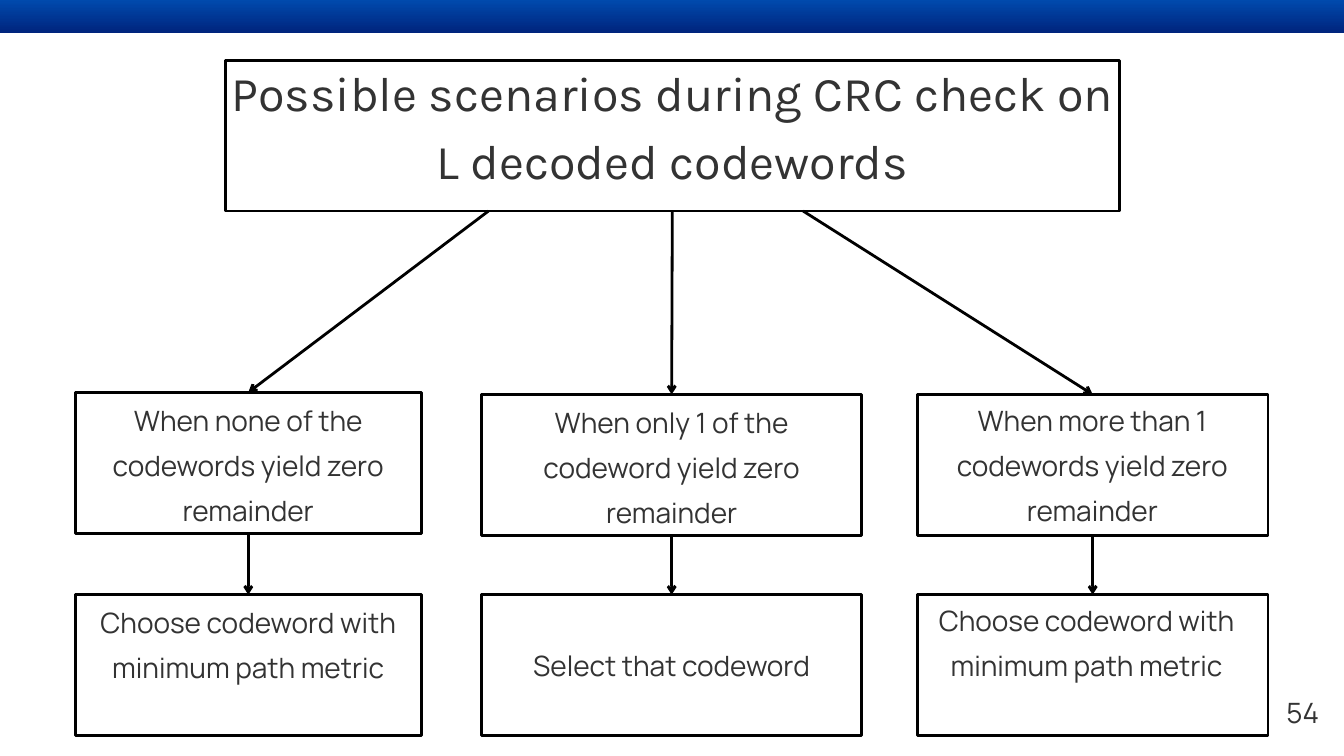
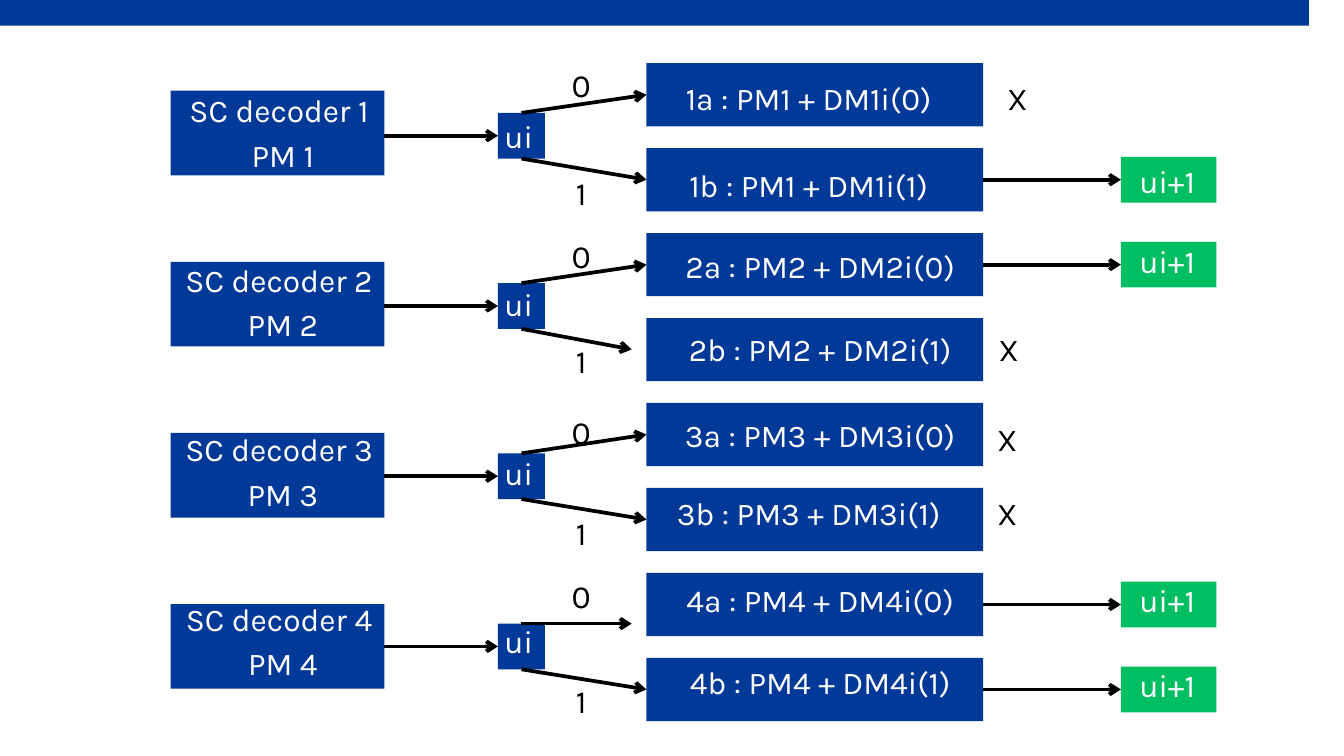
from dataclasses import dataclass
from typing import NamedTuple, Optional

from lxml import etree
from pptx import Presentation
from pptx import util as u
from pptx.dml.color import RGBColor
from pptx.enum import shapes, text
from pptx.oxml import ns

# The page is a grid of square cells: 20 columns by 11.25 rows.
CELL = u.Inches(1)
COLUMNS, ROWS = 20, 11.25

BLACK = RGBColor(0x00, 0x00, 0x00)
WHITE = RGBColor(0xFF, 0xFF, 0xFF)
INK = RGBColor(0x33, 0x33, 0x33)
BLUE = RGBColor(0x00, 0x39, 0x97)
GREEN = RGBColor(0x00, 0xBF, 0x63)
BAND_TOP = RGBColor(0x00, 0x4A, 0xAD)
BAND_BOTTOM = RGBColor(0x00, 0x24, 0x7D)

HEADING_FONT, BODY_FONT = "Karla", "Manrope"
TOP, LEFT, BOTTOM, RIGHT = range(4)


class Area(NamedTuple):
    left: float
    top: float
    width: float
    height: float


class Point(NamedTuple):
    column: float
    row: float


class Side(NamedTuple):
    """The middle of one side of a rectangle."""
    box: object
    site: int


@dataclass
class Scenario:
    box: Area
    arrow_start: float
    condition: str
    condition_area: Area
    action: str
    action_area: Area


@dataclass
class Branch:
    """One bit decision: its label, its metric and whether the path survives."""
    bit_top: float
    metric_left: float
    metric_top: float
    result_top: float
    mark_left: Optional[float] = None
    arrow_end: Optional[Point] = None


SCENARIOS = [
    Scenario(Area(1.12, 5.84, 5.15, 2.1), 7.27,
             "When none of the codewords yield zero remainder", Area(1.28, 5.84, 4.83, 1.97),
             "Choose codeword with minimum path metric", Area(1.28, 8.85, 4.83, 1.97)),
    Scenario(Area(7.17, 5.87, 5.65, 2.1), 10,
             "When only 1 of the codeword yield zero remainder", Area(7.27, 5.87, 5.45, 1.97),
             "Select that codeword", Area(7.27, 9.49, 5.45, 0.64)),
    Scenario(Area(13.65, 5.87, 5.22, 2.1), 11.95,
             "When more than 1 codewords yield zero remainder", Area(13.83, 5.84, 4.85, 1.97),
             "Choose codeword with minimum path metric", Area(13.83, 8.82, 4.68, 1.97)),
]
ACTION_TOP = 8.85

# Two branches, bit 0 and bit 1, for each decoder in turn.
BRANCHES = [
    Branch(0.87, 9.71, 1.08, 1.08, mark_left=14.99),
    Branch(2.48, 9.71, 2.37, 2.32),
    Branch(3.42, 9.88, 3.58, 3.51),
    Branch(4.98, 9.88, 4.81, 4.81, mark_left=14.86, arrow_end=Point(9.4, 5.2)),
    Branch(6.04, 9.88, 6.09, 6.15, mark_left=14.84),
    Branch(7.54, 9.71, 7.26, 7.26, mark_left=14.84),
    Branch(8.48, 9.88, 8.55, 8.55, arrow_end=Point(9.4, 9.28)),
    Branch(10.04, 9.88, 9.77, 9.82),
]


def cells(count: float) -> int:
    return round(count * CELL)


def spread(first: float, last: float, count: int) -> list[float]:
    """Equally spaced positions from first to last."""
    return [first + (last - first) * i / (count - 1) for i in range(count)]


def write(box, content: str, *, size: float, leading: float, font: str = HEADING_FONT,
          color: RGBColor = WHITE, align=text.PP_ALIGN.CENTER) -> None:
    frame = box.text_frame
    frame.margin_left = frame.margin_top = frame.margin_right = frame.margin_bottom = 0
    frame.word_wrap = True
    frame.auto_size = text.MSO_AUTO_SIZE.SHAPE_TO_FIT_TEXT
    frame.vertical_anchor = text.MSO_ANCHOR.TOP
    frame.text = content
    for para in frame.paragraphs:
        para.alignment = align
        para.line_spacing = u.Pt(leading)
        para.space_before = u.Pt(0)
        for span in para.runs:
            span.font.name = font
            span.font.size = u.Pt(size)
            span.font.color.rgb = color


def add_text(page, area: Area, content: str, **style) -> None:
    write(page.shapes.add_textbox(*map(cells, area)), content, **style)


def add_body(page, area: Area, content: str, **style) -> None:
    add_text(page, area, content, size=30, leading=48, font=BODY_FONT, color=INK, **style)


def add_label(page, area: Area, content: str, **style) -> None:
    add_text(page, area, content, size=34, leading=47.6, **style)


def add_box(page, area: Area, fill: Optional[RGBColor] = None, outline: float = 0):
    box = page.shapes.add_shape(shapes.MSO_SHAPE.RECTANGLE, *map(cells, area))
    box.shadow.inherit = False
    if fill is None:
        box.fill.background()
    else:
        box.fill.solid()
        box.fill.fore_color.rgb = fill
    if outline:
        box.line.color.rgb = BLACK
        box.line.width = u.Pt(outline)
    else:
        box.line.fill.background()
    return box


def add_arrow(page, start: Point | Side, end: Point | Side, width: float) -> None:
    """Arrow between fixed points or the joined sides of boxes."""
    fixed = [cells(length) for place in (start, end)
             for length in (place if isinstance(place, Point) else (0, 0))]
    arrow = page.shapes.add_connector(shapes.MSO_CONNECTOR.STRAIGHT, *fixed)
    if isinstance(start, Side):
        arrow.begin_connect(*start)
    if isinstance(end, Side):
        arrow.end_connect(*end)
    arrow.line.color.rgb = BLACK
    arrow.line.width = u.Pt(width)
    properties = arrow.element.spPr
    line = properties.find(ns.qn("a:ln"))
    etree.SubElement(line, ns.qn("a:tailEnd"), type="arrow")
    etree.SubElement(properties, ns.qn("a:effectLst"))


def build_scenarios(deck) -> None:
    page = deck.slides.add_slide(deck.slide_layouts[5])
    title = page.shapes.title
    title.left, title.top, title.width, title.height = map(cells, (3.35, 0.8, 13.31, 1.98))
    write(title, "Possible scenarios during CRC check on L decoded codewords",
          size=52, leading=72.8, color=INK)

    band = add_box(page, Area(0, 0, COLUMNS, 0.49), fill=BAND_TOP)
    band.fill.gradient()
    band.fill.gradient_angle = 270
    for stop, color in zip(band.fill.gradient_stops, (BAND_TOP, BAND_BOTTOM)):
        stop.color.rgb = color

    heading = Area(3.35, 0.9, 13.31, 2.24)
    heading_box = add_box(page, heading, outline=3)
    for scenario in SCENARIOS:
        condition_box = add_box(page, scenario.box, outline=3)
        action_box = add_box(page, scenario.box._replace(top=ACTION_TOP), outline=3)
        if scenario.arrow_start == COLUMNS / 2:
            start = Side(heading_box, BOTTOM)
        else:
            start = Point(scenario.arrow_start, heading.top + heading.height)
        add_arrow(page, start, Side(condition_box, TOP), 3)
        add_arrow(page, Side(condition_box, BOTTOM), Side(action_box, TOP), 3)
        add_body(page, scenario.condition_area, scenario.condition)
        add_body(page, scenario.action_area, scenario.action)
    add_body(page, Area(18.88, 10.18, 0.75, 0.64), "54", align=text.PP_ALIGN.RIGHT)


def add_branch(page, number: int, bit: int, branch: Branch, bit_box, top: float) -> None:
    metric_box = add_box(page, Area(9.62, top, 5.01, 0.94), fill=BLUE)
    add_arrow(page, Side(bit_box, BOTTOM if bit else TOP),
              branch.arrow_end or Side(metric_box, LEFT), 4)
    add_label(page, Area(branch.metric_left, branch.metric_top, 4.65, 0.63),
              f"{number}{'ab'[bit]} : PM{number} + DM{number}i({bit})")
    add_text(page, Area(8.35, branch.bit_top, 0.6, 0.64), str(bit),
             size=34.6, leading=48.4, color=BLACK)
    if branch.mark_left:
        add_label(page, Area(branch.mark_left, branch.result_top, 0.3, 0.63), "X", color=BLACK)
    else:
        next_box = add_box(page, Area(16.68, top + 0.13, 1.42, 0.68), fill=GREEN)
        add_arrow(page, Side(metric_box, RIGHT), Side(next_box, LEFT), 4)
        add_label(page, Area(16.91, branch.result_top, 0.92, 0.63), "ui+1")


def build_decoders(deck) -> None:
    page = deck.slides.add_slide(deck.slide_layouts[6])
    add_box(page, Area(-0.69, -0.17, 20.17, 0.55), fill=BLUE)
    metric_tops = spread(0.94, 9.79, 8)
    decoder_rows = zip(spread(1.35, 8.99, 4), spread(1.26, 8.83, 4),
                       spread(1.68, 9.28, 4), spread(1.64, 9.16, 4))
    for i, (decoder_top, name_top, bit_top, symbol_top) in enumerate(decoder_rows):
        number = i + 1
        add_box(page, Area(2.54, decoder_top, 3.18, 1.26), fill=BLUE)
        bit_box = add_box(page, Area(7.41, bit_top, 0.7, 0.68), fill=BLUE)
        add_arrow(page, Point(5.72, bit_top + 0.34), Side(bit_box, LEFT), 4)
        add_label(page, Area(2.11, name_top, 4.2, 1.29), f"SC decoder {number} \nPM {number}")
        add_label(page, Area(7.26, symbol_top, 0.92, 0.63), "ui")
        for bit in (0, 1):
            place = 2 * i + bit
            add_branch(page, number, bit, BRANCHES[place], bit_box, metric_tops[place])


def main() -> None:
    deck = Presentation()
    deck.slide_width, deck.slide_height = cells(COLUMNS), cells(ROWS)
    build_scenarios(deck)
    build_decoders(deck)
    deck.save("out.pptx")


if __name__ == "__main__":
    main()
